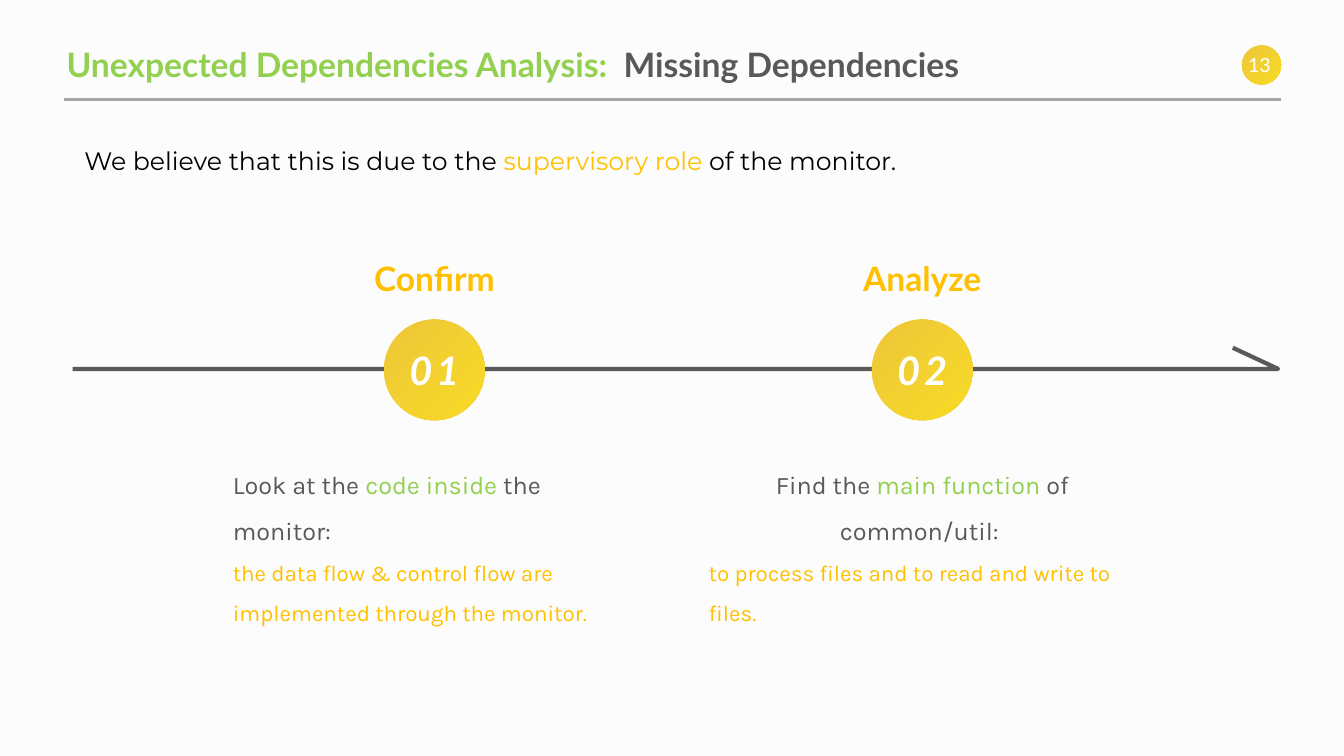
from dataclasses import dataclass

import pptx
import pptx.dml.color
import pptx.enum.shapes
import pptx.enum.text
import pptx.oxml.ns
import pptx.util
from lxml import etree

Pt = pptx.util.Pt
RGBColor = pptx.dml.color.RGBColor
ALIGN = pptx.enum.text.PP_ALIGN
ANCHOR = pptx.enum.text.MSO_ANCHOR
qn = pptx.oxml.ns.qn

PAPER = RGBColor(0xFC, 0xFC, 0xFC)
WHITE = RGBColor(0xFF, 0xFF, 0xFF)
BLACK = RGBColor(0, 0, 0)
GRAY = RGBColor(0x59, 0x59, 0x59)
RULE = RGBColor(0xA5, 0xA5, 0xA5)
GREEN = RGBColor(0x92, 0xD0, 0x50)
AMBER = RGBColor(0xFF, 0xC0, 0x00)
GOLD_STOPS = (RGBColor(0xEE, 0xC7, 0x38), RGBColor(0xF7, 0xDA, 0x27))


@dataclass
class Span:
    text: str
    color: RGBColor


@dataclass
class Step:
    number: str
    name: str
    center: float
    left: float
    width: float
    height: float
    task: list[Span]
    task_align: ALIGN
    detail: str


STEPS = [
    Step("01", "Confirm", 310.3, 159.1, 301.7, 160,
         [Span("Look at the ", GRAY), Span("code inside", GREEN),
          Span(" the monitor:", GRAY)], ALIGN.LEFT,
         "the data flow & control flow are implemented through the monitor."),
    Step("02", "Analyze", 658.8, 499, 319.7, 160,
         [Span("Find the ", GRAY), Span("main function", GREEN),
          Span(" of common/util: ", GRAY)], ALIGN.CENTER,
         "to process files and to read and write to files."),
]


def place(sp, left: float, top: float, width: float, height: float) -> None:
    sp.left, sp.top, sp.width, sp.height = Pt(left), Pt(top), Pt(width), Pt(height)


def prepare(sp, anchor: ANCHOR = ANCHOR.TOP):
    tf = sp.text_frame
    tf.auto_size = pptx.enum.text.MSO_AUTO_SIZE.NONE
    tf.word_wrap = True
    tf.vertical_anchor = anchor
    return tf


def write(p, spans: list[Span], font: str, size: float,
          align: ALIGN = ALIGN.LEFT, bold: bool = False) -> None:
    p.alignment = align
    for span in spans:
        r = p.add_run()
        r.text = span.text
        r.font.name, r.font.size, r.font.bold = font, Pt(size), bold
        r.font.color.rgb = span.color


def add_text(s, box: tuple, spans: list[Span], font: str, size: float,
             align: ALIGN = ALIGN.LEFT, bold: bool = False,
             anchor: ANCHOR = ANCHOR.TOP) -> None:
    sp = s.shapes.add_textbox(*map(Pt, box))
    write(prepare(sp, anchor).paragraphs[0], spans, font, size, align, bold)


def add_disc(s, center_x: float, center_y: float, diameter: float):
    sp = s.shapes.add_shape(pptx.enum.shapes.MSO_SHAPE.OVAL,
                            Pt(center_x - diameter / 2), Pt(center_y - diameter / 2),
                            Pt(diameter), Pt(diameter))
    sp.shadow.inherit = False
    sp.line.fill.background()
    sp.fill.gradient()
    sp.fill.gradient_angle = 315
    for stop, color in zip(sp.fill.gradient_stops, GOLD_STOPS):
        stop.color.rgb = color
    return sp


def add_step(s, step: Step, body) -> None:
    # Numbered disc
    tf = prepare(add_disc(s, step.center, 264.2, 72), ANCHOR.MIDDLE)
    tf.margin_left = tf.margin_right = tf.margin_top = tf.margin_bottom = 0
    p = tf.paragraphs[0]
    write(p, [Span(step.number, WHITE)], "Lato", 28, ALIGN.CENTER, True)
    font = p.runs[0].font
    font.italic = True
    font._element.set("spc", "300")

    # Name above, description below
    add_text(s, (step.center - 75.6, 180.7, 151.2, 36), [Span(step.name, AMBER)],
             "Lato", 24, ALIGN.CENTER, True)
    place(body, step.left, 321.1, step.width, step.height)
    tf = prepare(body)
    lines = [(step.task, 18, step.task_align),
             ([Span(step.detail, AMBER)], 16, ALIGN.LEFT)]
    for i, (spans, size, align) in enumerate(lines):
        p = tf.add_paragraph() if i else tf.paragraphs[0]
        pPr = p._p.get_or_add_pPr()
        pPr.set("marL", "0")
        pPr.set("indent", "0")
        etree.SubElement(pPr, qn("a:buNone"))
        p.line_spacing = 1.5
        p.space_before = Pt(0)
        write(p, spans, "Karla", size, align)


def main() -> None:
    prs = pptx.Presentation()
    prs.slide_width, prs.slide_height = Pt(960), Pt(540)
    s = prs.slides.add_slide(prs.slide_layouts[3])
    s.background.fill.solid()
    s.background.fill.fore_color.rgb = PAPER

    # Heading with rule and page number
    title = s.shapes.title
    place(title, 40.3, 27.4, 681.8, 36)
    write(prepare(title, ANCHOR.MIDDLE).paragraphs[0],
          [Span("Unexpected Dependencies Analysis: ", GREEN),
           Span(" Missing Dependencies", GRAY)], "Lato", 24, bold=True)
    add_disc(s, 901.1, 46.4, 28.1)
    add_text(s, (879.8, 35.3, 39.6, 21.6), [Span("13", WHITE)], "Lato", 14,
             ALIGN.CENTER, anchor=ANCHOR.MIDDLE)
    rule = s.shapes.add_connector(pptx.enum.shapes.MSO_CONNECTOR.STRAIGHT,
                                  Pt(45.4), Pt(71.3), Pt(915.1), Pt(71.3))
    rule.line.color.rgb, rule.line.width = RULE, Pt(2)
    etree.SubElement(rule._element.spPr, qn("a:effectLst"))

    # Statement
    add_text(s, (53.3, 100.1, 765.4, 28.8),
             [Span("We believe that this is due to the ", BLACK),
              Span("supervisory role", AMBER),
              Span(" of the monitor.", BLACK)], "Montserrat", 18)

    # Timeline with half arrowhead
    builder = s.shapes.build_freeform(Pt(51.8), Pt(263.5))
    builder.add_line_segments([(Pt(913), Pt(263.5)), (Pt(880.6), Pt(248.4))],
                              close=False)
    timeline = builder.convert_to_shape()
    timeline.shadow.inherit = False
    timeline.fill.background()
    timeline.line.color.rgb, timeline.line.width = GRAY, Pt(3)

    for step, idx in zip(STEPS, (1, 2)):
        add_step(s, step, s.placeholders[idx])

    prs.save("out.pptx")


if __name__ == "__main__":
    main()
